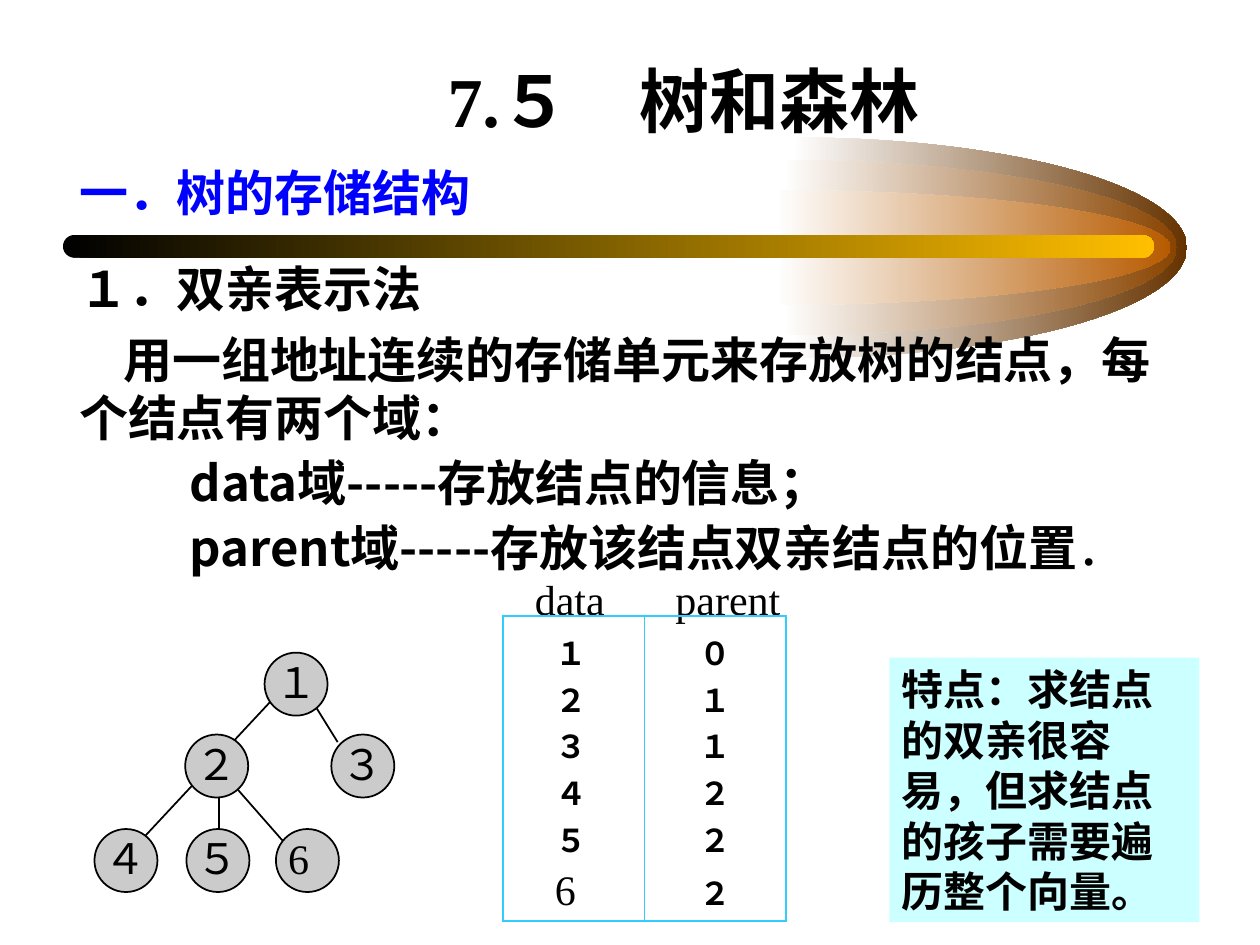
from lxml.etree import SubElement
from pptx import Presentation
from pptx.dml.color import RGBColor
from pptx.enum.shapes import MSO_CONNECTOR as CONN, MSO_SHAPE as SHAPE
from pptx.enum.text import MSO_ANCHOR as ANCHOR, PP_ALIGN as ALIGN
from pptx.oxml.ns import qn
from pptx.util import Inches, Pt

SERIF, SANS = "Times New Roman", "Noto Sans CJK SC"
BLACK, BLUE, CYAN = "000000", "0000FF", "33CCFF"


def rgb(value):
    """Turn a hex string into a colour."""
    return RGBColor.from_string(value)


def style(p, size, bold=False, color=BLACK, font=SERIF, align=None, before=0):
    """Set the font and spacing of a paragraph."""
    p.alignment, p.space_before = align, Pt(before)
    f = p.font
    f.size, f.bold, f.name = Pt(size), bold, font
    f.color.rgb = rgb(color)
    SubElement(p._p.pPr.find(qn("a:defRPr")), qn("a:ea"), typeface=SANS)
    p._p.pPr.set("hangingPunct", "0")


def add_text(s, x, y, w, h):
    """Add an empty wrapping text box and return its frame."""
    tf = s.shapes.add_textbox(Inches(x), Inches(y), Inches(w), Inches(h)).text_frame
    tf.word_wrap = True
    return tf


def add_line(s, start, end):
    """Draw a thin black line between two points."""
    ln = s.shapes.add_connector(CONN.STRAIGHT, *map(Inches, (*start, *end)))
    ln.line.color.rgb, ln.line.width = rgb(BLACK), Pt(1)
    SubElement(ln._element.spPr, qn("a:effectLst"))


def fade(sp, start, end):
    """Fill a shape with a left-to-right gradient and no outline."""
    sp.shadow.inherit = False
    sp.line.fill.background()
    sp.fill.gradient()
    sp.fill.gradient_angle = 0
    for stop, color in zip(sp.fill.gradient_stops, (start, end)):
        stop.color.rgb = rgb(color)


def add_glow(s, x, y, w, h, color):
    """Draw the right half of an ellipse, curved by a single arc."""
    fb = s.shapes.build_freeform(Inches(x), Inches(y))
    fb.add_line_segments([(Inches(x + w), Inches(y + h / 2)), (Inches(x), Inches(y + h))])
    sp = fb.convert_to_shape()
    side, other = list(sp._element.iter(qn("a:lnTo")))[:2]
    outline = side.getparent()
    arc = SubElement(outline, qn("a:arcTo"), wR=str(Inches(w)), hR=str(Inches(h / 2)),
                     stAng="16200000", swAng="10800000")
    outline.replace(side, arc)
    outline.remove(other)
    fade(sp, "FFFFFF", color)


def add_comet(s, x, y, w, h):
    """Draw the half-ellipse glows and the bar across them."""
    mid, reach = y + h / 2, 3.13
    for inset, height, color in [(0, h, "663300"), (0.08, 1.39, "894400"),
                                 (0.13, 0.91, "B75B00")]:
        add_glow(s, x + w - reach - inset, mid - height / 2, reach, height, color)
    bar = s.shapes.add_shape(SHAPE.ROUNDED_RECTANGLE, Inches(x), Inches(mid - 0.1),
                             Inches(w - 0.26), Inches(0.18))
    bar.adjustments[0] = 0.5
    fade(bar, BLACK, "FFBF00")


def add_title(s, x, y, w, h):
    """Place the centred title."""
    tf = add_text(s, x, y, w, h)
    tf.vertical_anchor = ANCHOR.BOTTOM
    tf.text = "7.５　树和森林"
    style(tf.paragraphs[0], 40, True, align=ALIGN.CENTER)


def add_body(s, x, y, w, h):
    """Place the headings and the explanation."""
    lines = [
        ("一．树的存储结构", BLUE, 7, 0, 1),
        ("１．双亲表示法", BLACK, 21, 0, 1),
        ("用一组地址连续的存储单元来存放树的结点，每个结点有两个域：", BLACK, 7, 0.35, 1),
        ("data域-----存放结点的信息；", BLACK, 7, 0.88, 0.9),
        ("parent域-----存放该结点双亲结点的位置", BLACK, 7, 0.88, 0.9),
    ]
    tf = add_text(s, x, y, w, h)
    for i, (text, color, before, indent, spacing) in enumerate(lines):
        p = tf.add_paragraph() if i else tf.paragraphs[0]
        p.add_run().text = text
        style(p, 28, True, color, SANS, before=before)
        p.line_spacing = spacing
        p._p.pPr.set("indent", str(Inches(indent)))
    r = p.add_run()
    r.text, r.font.bold = "．", False


def add_tree(s, x, y):
    """Draw the tree, with edges and node centres relative to its corner."""
    edges = [((0.99, 1.08), (0.99, 1.5)), ((1.47, 0.31), (0.22, 1.65)),
             ((1.14, 1.09), (1.5, 1.5)), ((1.75, 0.42), (1.93, 0.71))]
    for edge in edges:
        add_line(s, *((x + dx, y + dy) for dx, dy in edge))
    nodes = {"１": (1.6, 0.25), "２": (0.97, 0.9), "３": (2.13, 0.9),
             "４": (0.25, 1.65), "５": (0.98, 1.65), "6": (1.69, 1.65)}
    size = 0.5
    for label, (dx, dy) in nodes.items():
        sp = s.shapes.add_shape(SHAPE.OVAL, Inches(x + dx - size / 2),
                                Inches(y + dy - size / 2), Inches(size), Inches(size))
        sp.shadow.inherit = False
        sp.fill.solid()
        sp.fill.fore_color.rgb = rgb("CBCBCB")
        sp.line.color.rgb, sp.line.width = rgb(BLACK), Pt(1)
        tf = sp.text_frame
        tf.margin_left = tf.margin_top = 0
        tf.margin_right = Inches(0.14 if label == "6" else 0)
        tf.margin_bottom = Inches(0.04)
        tf.word_wrap = False
        tf.text = label
        style(tf.paragraphs[0], 24, align=ALIGN.CENTER)


def set_borders(cell, sides):
    """Draw the named sides of a cell and hide the others."""
    tc_pr = cell._tc.get_or_add_tcPr()
    for i, side in enumerate("LRTB"):
        ln = SubElement(tc_pr, qn(f"a:ln{side}"), w=str(Pt(1)))
        if side in sides:
            SubElement(SubElement(ln, qn("a:solidFill")), qn("a:srgbClr"), val=CYAN)
        else:
            SubElement(ln, qn("a:noFill"))
        tc_pr.insert(i, ln)


def add_parent_table(s, x, y, w, h):
    """Place the data and parent columns with their headings."""
    for text, left in (("data", x - 0.03), ("parent", x + w / 2 + 0.1)):
        tf = add_text(s, left, y - 0.39, w / 2, 0.5)
        tf.text = text
        style(tf.paragraphs[0], 24, align=ALIGN.CENTER)
    rows = list(zip("１２３４５6", "０１１２２２"))
    last = len(rows) - 1
    table = s.shapes.add_table(len(rows), 2, Inches(x), Inches(y), Inches(w), Inches(h)).table
    table.first_row = table.horz_banding = False
    inner = 0.37
    for i, values in enumerate(rows):
        edge = i in (0, last)
        table.rows[i].height = Inches((h - inner * (last - 1)) / 2 if edge else inner)
        for j, value in enumerate(values):
            plain = value == "6"
            cell = table.cell(i, j)
            cell.margin_left = cell.margin_bottom = 0
            cell.margin_right = Inches(0.13 if plain else 0 if j else 0.04)
            cell.margin_top = Inches(0 if i else 0.1)
            cell.vertical_anchor = ANCHOR.MIDDLE
            cell.fill.background()
            cell.text = value
            style(cell.text_frame.paragraphs[0], 24 if plain else 18, not plain,
                  align=ALIGN.CENTER)
            set_borders(cell, "LR" + "T" * (i == 0) + "B" * (i == last))


def add_note(s, x, y, w, h):
    """Place the remark on its pale panel."""
    sp = s.shapes.add_shape(SHAPE.RECTANGLE, Inches(x), Inches(y), Inches(w), Inches(h))
    sp.shadow.inherit = False
    sp.fill.solid()
    sp.fill.fore_color.rgb = rgb("CCFFFF")
    sp.line.fill.background()
    tf = sp.text_frame
    tf.vertical_anchor = ANCHOR.TOP
    tf.text = "特点：求结点的双亲很容易，但求结点的孩子需要遍历整个向量。"
    style(tf.paragraphs[0], 24, True, align=ALIGN.LEFT)


def main():
    """Build the slide and save it."""
    prs = Presentation()
    prs.slide_width, prs.slide_height = Inches(10), Inches(7.5)
    s = prs.slides.add_slide(prs.slide_layouts[6])
    add_comet(s, 0.5, 1.09, 8.92, 1.75)
    add_title(s, 1.87, 0.42, 7.11, 0.75)
    add_body(s, 0.53, 1.24, 8.97, 3.4)
    add_tree(s, 0.75, 5.18)
    add_parent_table(s, 3.99, 4.89, 2.25, 2.42)
    add_note(s, 7.06, 5.22, 2.46, 2.1)
    prs.save("out.pptx")


if __name__ == "__main__":
    main()
